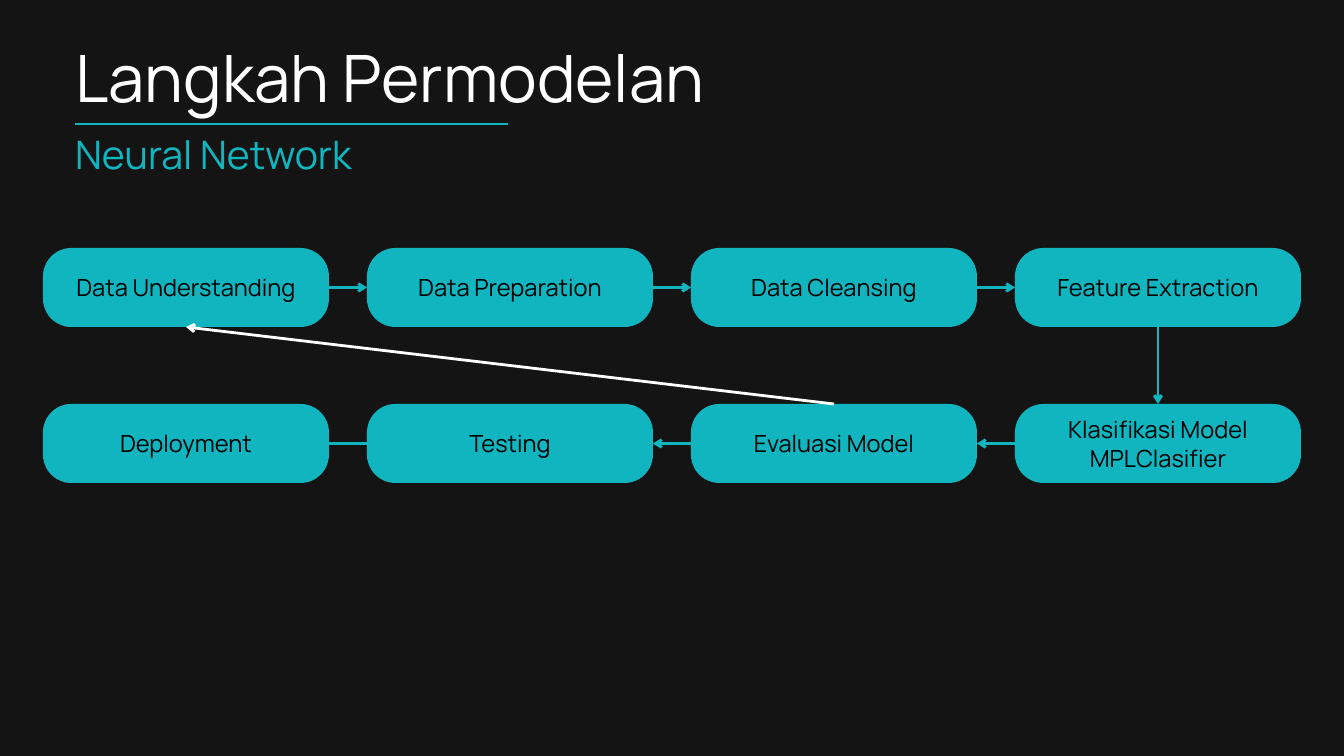
import pptx
import pptx.util
import pptx.dml.color
import pptx.enum.shapes
import pptx.enum.text
import pptx.oxml.ns
from lxml import etree

HUES = {"back": "141414", "teal": "10B5BF", "white": "FFFFFF", "black": "000000"}
FACE = "Manrope"

# text, left, top, width, height, size, line spacing, colour
HEADS = [
    ("Langkah Permodelan", 75, 37, 790, 78, 70, 84, "white"),
    ("Neural Network", 75, 130, 516, 47, 42, 50.4, "teal"),
]
ROWS = [
    ["Data Understanding", "Data Preparation", "Data Cleansing", "Feature Extraction"],
    ["Deployment", "Testing", "Evaluasi Model", "Klasifikasi Model MPLClasifier"],
]
LEFT, TOP, WIDE, HIGH = 43, 248, 286, 79
STEP_X, STEP_Y = 324, 156
UP, WEST, DOWN, EAST = range(4)

# (row, column), side, (row, column), side, colour
LINKS = [
    ((0, 0), EAST, (0, 1), WEST, "teal"),
    ((0, 1), EAST, (0, 2), WEST, "teal"),
    ((0, 2), EAST, (0, 3), WEST, "teal"),
    ((0, 3), DOWN, (1, 3), UP, "teal"),
    ((1, 3), WEST, (1, 2), EAST, "teal"),
    ((1, 2), WEST, (1, 1), EAST, "teal"),
    ((1, 2), UP, (0, 0), DOWN, "white"),
]
LAST_X = 308  # the final arrow runs on into the Deployment box


def px(num):
    return pptx.util.Emu(round(num * 914400 / 67.2))


def hue(name):
    return pptx.dml.color.RGBColor.from_string(HUES[name])


def write(shape, text, size, gap, color, align, anchor, inset=0):
    frame = shape.text_frame
    frame.text = text
    frame.word_wrap = True
    frame.auto_size = pptx.enum.text.MSO_AUTO_SIZE.NONE
    frame.vertical_anchor = anchor
    frame.margin_left = frame.margin_right = px(inset)
    frame.margin_top = frame.margin_bottom = px(inset)
    para = frame.paragraphs[0]
    para.alignment = align
    para.line_spacing = pptx.util.Pt(gap)
    para.space_before = pptx.util.Pt(0)
    para.font.name = FACE
    para.font.size = pptx.util.Pt(size)
    para.font.color.rgb = hue(color)


def draw_line(slide, ends, color, width, arrow=True):
    line = slide.shapes.add_connector(
        pptx.enum.shapes.MSO_CONNECTOR.STRAIGHT, *map(px, ends))
    line.line.color.rgb = hue(color)
    line.line.width = pptx.util.Pt(width)
    qn = pptx.oxml.ns.qn
    if arrow:
        etree.SubElement(line.line._get_or_add_ln(), qn("a:tailEnd"), type="arrow")
    etree.SubElement(line._element.spPr, qn("a:effectLst"))
    return line


def add_box(slide, row, col, text):
    box = slide.shapes.add_shape(
        pptx.enum.shapes.MSO_SHAPE.ROUNDED_RECTANGLE,
        px(LEFT + col * STEP_X), px(TOP + row * STEP_Y), px(WIDE), px(HIGH))
    box.adjustments[0] = 0.36
    box.shadow.inherit = False
    box.fill.solid()
    box.fill.fore_color.rgb = hue("teal")
    box.line.fill.background()
    write(box, text, 25.3, 30.4, "black", pptx.enum.text.PP_ALIGN.CENTER,
          pptx.enum.text.MSO_ANCHOR.MIDDLE, 4)
    return box


def main():
    deck = pptx.Presentation()
    deck.slide_width, deck.slide_height = px(1344), px(756)
    slide = deck.slides.add_slide(deck.slide_layouts[0])
    slide.background.fill.solid()
    slide.background.fill.fore_color.rgb = hue("back")

    for head, (text, x, y, wide, high, *style) in zip(slide.placeholders, HEADS):
        head.left, head.top, head.width, head.height = map(px, (x, y, wide, high))
        write(head, text, *style, pptx.enum.text.PP_ALIGN.LEFT,
              pptx.enum.text.MSO_ANCHOR.TOP)
    draw_line(slide, (75, 124, 508, 124), "teal", 1.5, arrow=False)

    boxes = {(row, col): add_box(slide, row, col, text)
             for row, texts in enumerate(ROWS) for col, text in enumerate(texts)}
    for start, out, end, into, color in LINKS:
        link = draw_line(slide, (0, 0, 0, 0), color, 3)
        link.begin_connect(boxes[start], out)
        link.end_connect(boxes[end], into)

    mid = TOP + STEP_Y + HIGH / 2
    last = draw_line(slide, (LEFT + STEP_X, mid, LAST_X, mid), "teal", 3)
    last.begin_connect(boxes[1, 1], WEST)
    deck.save("out.pptx")


if __name__ == "__main__":
    main()
